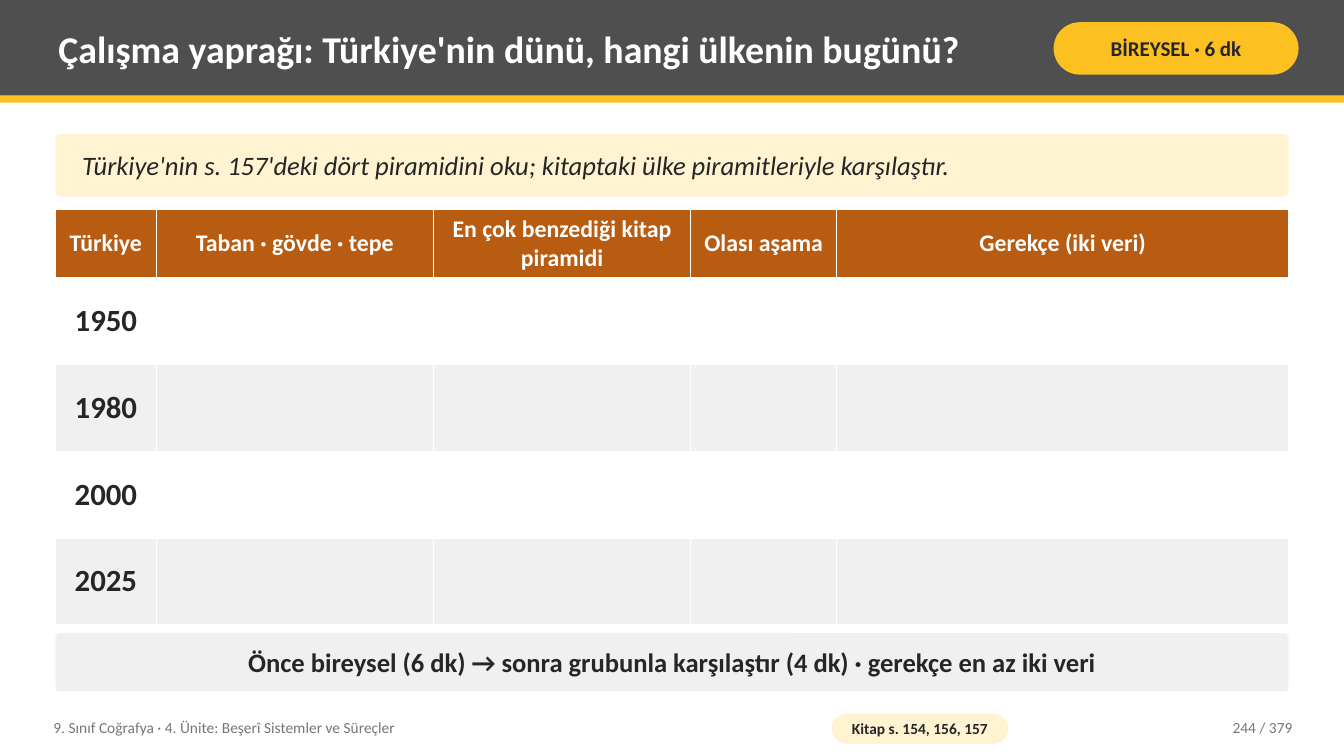
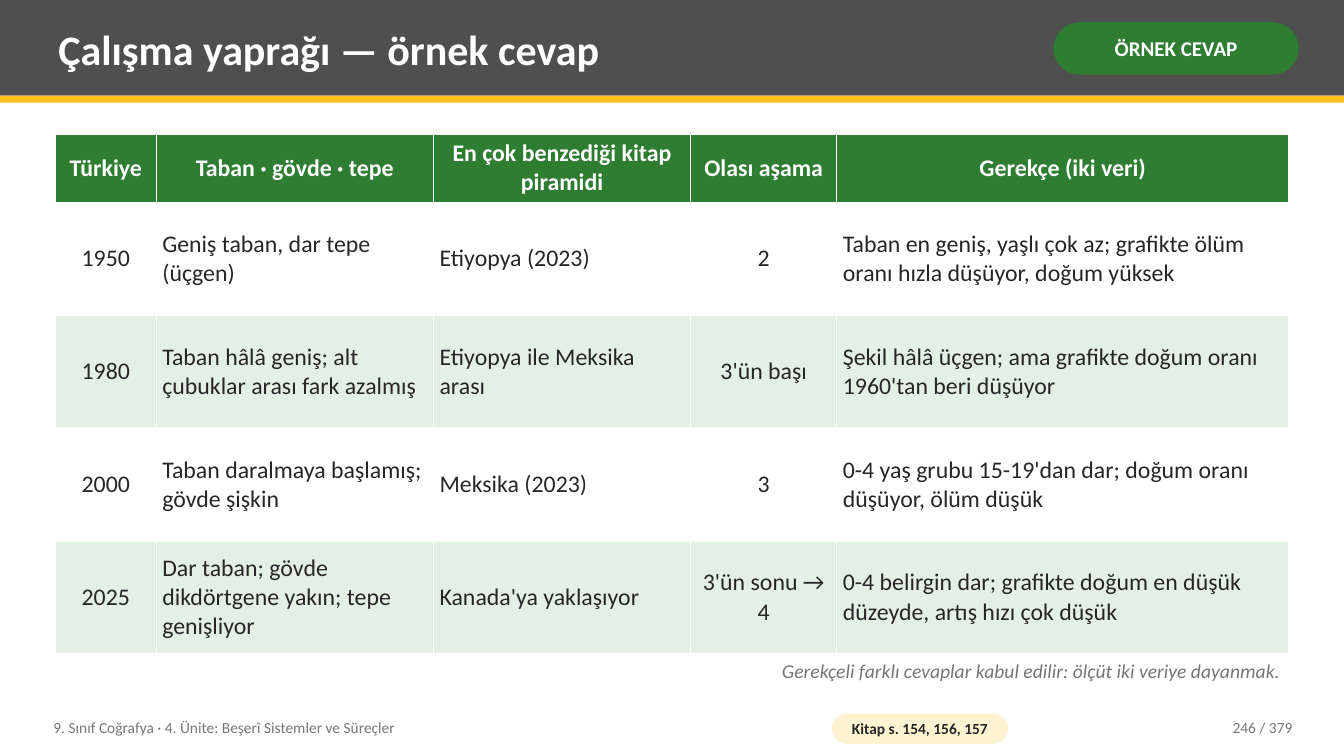
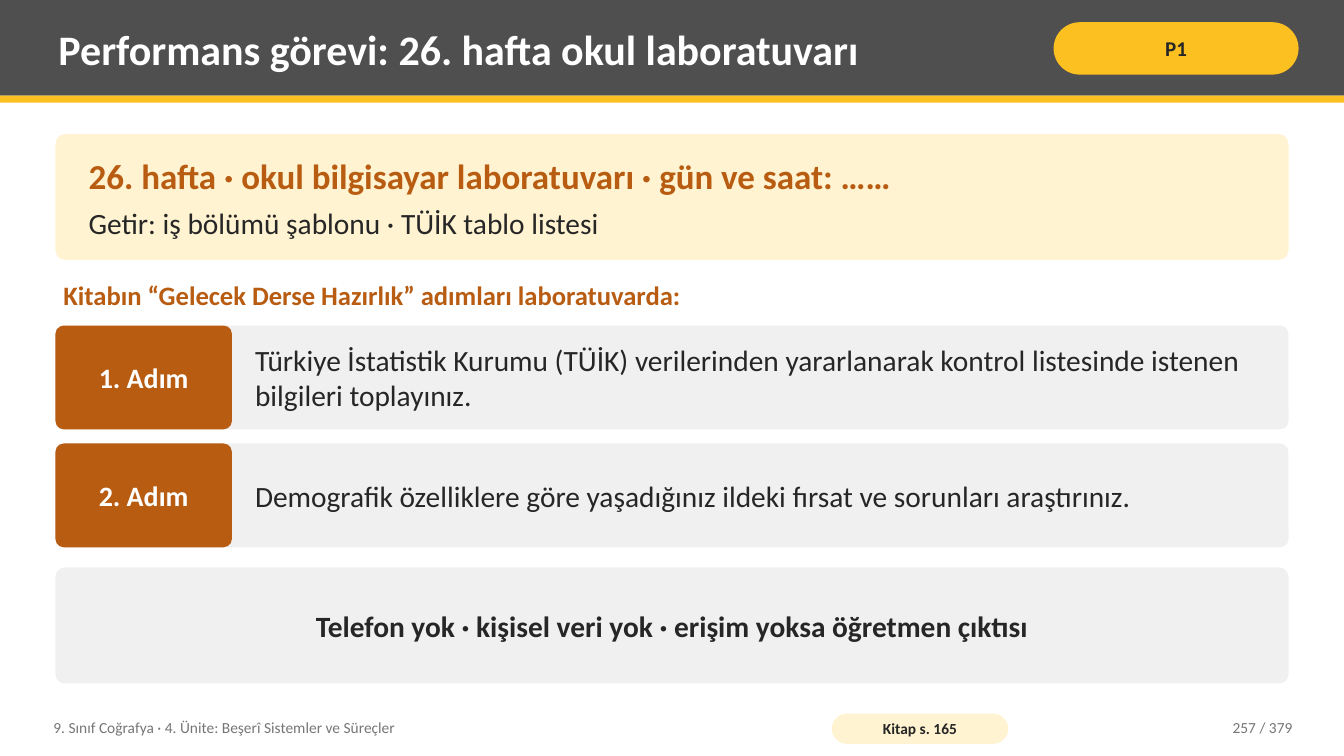
"""Builds three geography lesson slides: a worksheet, its sample answer and a task."""
from dataclasses import dataclass, replace

from lxml.etree import SubElement
from pptx import Presentation
from pptx.dml.color import RGBColor
from pptx.enum.shapes import MSO_SHAPE
from pptx.enum.text import MSO_ANCHOR, MSO_AUTO_SIZE, PP_ALIGN
from pptx.oxml.ns import qn
from pptx.util import Inches, Pt

WHITE = RGBColor(0xFF, 0xFF, 0xFF)
INK = RGBColor(0x26, 0x26, 0x26)
SLATE = RGBColor(0x4F, 0x4F, 0x4F)
MUTED = RGBColor(0x76, 0x76, 0x76)
MIST = RGBColor(0xF0, 0xF0, 0xF0)
YELLOW = RGBColor(0xFC, 0xC0, 0x21)
CREAM = RGBColor(0xFF, 0xF3, 0xD1)
RUST = RGBColor(0xB8, 0x5C, 0x12)
GREEN = RGBColor(0x2E, 0x7D, 0x32)
PALE_GREEN = RGBColor(0xE3, 0xF1, 0xE4)

FONT = "Calibri"
CELL = Inches(0.1)
COLUMNS, ROWS = 133.3, 75
MARGIN = 5.5
CONTENT = COLUMNS - 2 * MARGIN
CONTENT_TOP = 13.3
TABLE_COLUMNS = [10, 27.5, 25.5, 14.5, 44.8]
TABLE_HEADINGS = [
    "Türkiye", "Taban · gövde · tepe", "En çok benzediği kitap piramidi",
    "Olası aşama", "Gerekçe (iki veri)",
]
CENTERED_COLUMNS = (0, 3)
UNIT_NAME = "9. Sınıf Coğrafya · 4. Ünite: Beşerî Sistemler ve Süreçler"
PAGE_COUNT = 379


def grid(*cells):
    """Turn grid columns and rows into slide lengths."""
    return [round(cell * CELL) for cell in cells]


@dataclass(frozen=True)
class Style:
    """Look of one paragraph."""
    size: float
    color: RGBColor = INK
    bold: bool = False
    italic: bool = False
    align: PP_ALIGN = PP_ALIGN.LEFT
    after: float = 0

    def centered(self):
        """Give the same look, centred."""
        return replace(self, align=PP_ALIGN.CENTER)


class Lesson:
    """Holds the deck, its shared style and the current slide."""

    def __init__(self):
        """Start an empty deck with the slide size of the grid."""
        self.deck = Presentation()
        self.deck.slide_width, self.deck.slide_height = grid(COLUMNS, ROWS)
        self.page = None

    def set_lines(self, frame, lines, insets=(0.8, 0.4), anchor=MSO_ANCHOR.MIDDLE):
        """Fill a text frame with (text, style) lines."""
        frame.word_wrap = True
        frame.auto_size = MSO_AUTO_SIZE.NONE
        frame.vertical_anchor = anchor
        side, edge = grid(*insets)
        frame.margin_left = frame.margin_right = side
        frame.margin_top = frame.margin_bottom = edge
        frame.text = "\n".join(text for text, style in lines)
        for para, (text, style) in zip(frame.paragraphs, lines):
            self.apply_style(para, style)

    def apply_style(self, para, style):
        """Apply a style to a paragraph and its spans."""
        para.alignment = style.align
        if style.after:
            para.space_after = Pt(style.after)
        for span in para.runs:
            span.font.name = FONT
            span.font.size = Pt(style.size)
            span.font.bold = style.bold
            span.font.italic = style.italic
            span.font.color.rgb = style.color

    def panel(self, area, color, *lines, rounding=0.08, insets=(1.4, 0.8)):
        """Draw a filled box, rounded unless rounding is zero."""
        kind = MSO_SHAPE.ROUNDED_RECTANGLE if rounding else MSO_SHAPE.RECTANGLE
        box = self.page.shapes.add_shape(kind, *grid(*area))
        if rounding:
            box.adjustments[0] = rounding
        box.shadow.inherit = False
        box.fill.solid()
        box.fill.fore_color.rgb = color
        box.line.fill.background()
        if lines:
            self.set_lines(box.text_frame, lines, insets)

    def label(self, area, text, style, anchor=MSO_ANCHOR.MIDDLE):
        """Place plain text without a box."""
        box = self.page.shapes.add_textbox(*grid(*area))
        self.set_lines(box.text_frame, [(text, style)], anchor=anchor)

    def start(self, title, badge, source, number, size=30, badge_fill=YELLOW, badge_ink=INK):
        """Add a slide with its header band, title, badge and footer."""
        self.page = self.deck.slides.add_slide(self.deck.slide_layouts[5])
        self.panel((0, 0, COLUMNS, 9.5), SLATE, rounding=0)
        self.panel((0, 9.5, COLUMNS, 0.7), YELLOW, rounding=0)
        heading = self.page.shapes.title
        heading.element.getparent().append(heading.element)
        heading.left, heading.top, heading.width, heading.height = grid(5, 0.7, 97.5, 8.2)
        self.set_lines(heading.text_frame, [(title, Style(size, WHITE, bold=True))])
        badge_style = Style(15, badge_ink, bold=True).centered()
        self.panel((104.5, 2.2, 24.3, 5.2), badge_fill, (badge, badge_style),
                   rounding=0.5, insets=(0.5, 0.2))
        small = Style(11, MUTED)
        self.label((4.5, 70.4, 76, 3.6), UNIT_NAME, small)
        self.panel((82.5, 70.8, 17.5, 3), CREAM, (source, Style(11, bold=True).centered()),
                   rounding=0.5, insets=(0.4, 0))
        self.label((113, 70.4, 16, 3.6), f"{number} / {PAGE_COUNT}",
                   replace(small, align=PP_ALIGN.RIGHT))

    def table(self, top, row_height, rows, style, head_fill, band_fill):
        """Draw the worksheet table under its shared headings."""
        heights = [6.2] + [row_height] * len(rows)
        area = grid(MARGIN, top, CONTENT, sum(heights))
        table = self.page.shapes.add_table(len(heights), len(TABLE_COLUMNS), *area).table
        for column, width in zip(table.columns, grid(*TABLE_COLUMNS)):
            column.width = width
        for row, height in zip(table.rows, grid(*heights)):
            row.height = height
        head_style = Style(17, WHITE, bold=True)
        for row_index, texts in enumerate([TABLE_HEADINGS] + rows):
            row_style = style if row_index else head_style
            fill = (band_fill, WHITE)[row_index % 2] if row_index else head_fill
            for column_index, text in enumerate(texts):
                is_centered = not row_index or column_index in CENTERED_COLUMNS
                cell_style = row_style.centered() if is_centered else row_style
                self.cell(table.cell(row_index, column_index), text, cell_style, fill)

    def cell(self, cell, text, style, fill):
        """Fill one table cell and give it thin white borders."""
        cell.margin_left, cell.margin_top, cell.margin_right, cell.margin_bottom = grid(
            0.6, 0.5, 0.6, 0.5)
        cell.vertical_anchor = MSO_ANCHOR.MIDDLE
        cell.text = text
        self.apply_style(cell.text_frame.paragraphs[0], style)
        properties = cell._tc.get_or_add_tcPr()
        for side in ("a:lnL", "a:lnR", "a:lnT", "a:lnB"):
            border = SubElement(properties, qn(side), w=str(Pt(0.96)))
            SubElement(SubElement(border, qn("a:solidFill")), qn("a:srgbClr"), val=str(WHITE))
        cell.fill.solid()
        cell.fill.fore_color.rgb = fill

    def step(self, top, name, text):
        """Draw one numbered step with its tab."""
        height, tab = 10.3, 17.5
        self.panel((MARGIN, top, CONTENT, height), MIST)
        self.panel((MARGIN, top, tab, height), RUST,
                   (name, Style(20, WHITE, bold=True).centered()), insets=(0.6, 0.8))
        self.label((MARGIN + tab + 1.5, top, CONTENT - tab - 2.5, height), text, Style(21))


def worksheet(lesson):
    """Build the empty worksheet."""
    lesson.start("Çalışma yaprağı: Türkiye'nin dünü, hangi ülkenin bugünü?",
                 "BİREYSEL · 6 dk", "Kitap s. 154, 156, 157", 244, size=27)
    task = "Türkiye'nin s. 157'deki dört piramidini oku; kitaptaki ülke piramitleriyle karşılaştır."
    lesson.panel((MARGIN, CONTENT_TOP, CONTENT, 6.2), CREAM,
                 (task, Style(19, italic=True)), insets=(2.5, 0.8))
    rows = [[year, "", "", "", ""] for year in ("1950", "1980", "2000", "2025")]
    lesson.table(20.8, 8.6, rows, Style(22, bold=True), RUST, MIST)
    rule = "Önce bireysel (6 dk) → sonra grubunla karşılaştır (4 dk) · gerekçe en az iki veri"
    lesson.panel((MARGIN, 62.8, CONTENT, 5.8), MIST,
                 (rule, Style(19, bold=True).centered()), insets=(1.4, 0.2))


def sample_answer(lesson):
    """Build the worksheet with its sample answer."""
    lesson.start("Çalışma yaprağı — örnek cevap", "ÖRNEK CEVAP",
                 "Kitap s. 154, 156, 157", 246, badge_fill=GREEN, badge_ink=WHITE)
    rows = [
        ["1950", "Geniş taban, dar tepe (üçgen)", "Etiyopya (2023)", "2",
         "Taban en geniş, yaşlı çok az; grafikte ölüm oranı hızla düşüyor, doğum yüksek"],
        ["1980", "Taban hâlâ geniş; alt çubuklar arası fark azalmış",
         "Etiyopya ile Meksika arası", "3'ün başı",
         "Şekil hâlâ üçgen; ama grafikte doğum oranı 1960'tan beri düşüyor"],
        ["2000", "Taban daralmaya başlamış; gövde şişkin", "Meksika (2023)", "3",
         "0-4 yaş grubu 15-19'dan dar; doğum oranı düşüyor, ölüm düşük"],
        ["2025", "Dar taban; gövde dikdörtgene yakın; tepe genişliyor",
         "Kanada'ya yaklaşıyor", "3'ün sonu → 4",
         "0-4 belirgin dar; grafikte doğum en düşük düzeyde, artış hızı çok düşük"],
    ]
    lesson.table(CONTENT_TOP, 11.2, rows, Style(17), GREEN, PALE_GREEN)
    lesson.label((MARGIN, 65, CONTENT, 3.6),
                 "Gerekçeli farklı cevaplar kabul edilir: ölçüt iki veriye dayanmak.",
                 Style(14, MUTED, italic=True, align=PP_ALIGN.RIGHT), MSO_ANCHOR.TOP)


def laboratory_task(lesson):
    """Build the performance task."""
    lesson.start("Performans görevi: 26. hafta okul laboratuvarı", "P1", "Kitap s. 165", 257)
    lesson.panel((MARGIN, CONTENT_TOP, CONTENT, 12.5), CREAM,
                 ("26. hafta · okul bilgisayar laboratuvarı · gün ve saat: ……",
                  Style(25, RUST, bold=True, after=6)),
                 ("Getir: iş bölümü şablonu · TÜİK tablo listesi", Style(21)),
                 insets=(3, 0.8))
    lesson.label((MARGIN, 27.3, CONTENT, 4.2),
                 "Kitabın “Gelecek Derse Hazırlık” adımları laboratuvarda:",
                 Style(19, RUST, bold=True), MSO_ANCHOR.TOP)
    steps = [
        "Türkiye İstatistik Kurumu (TÜİK) verilerinden yararlanarak kontrol listesinde "
        "istenen bilgileri toplayınız.",
        "Demografik özelliklere göre yaşadığınız ildeki fırsat ve sorunları araştırınız.",
    ]
    for index, text in enumerate(steps):
        lesson.step(32.3 + index * 11.7, f"{index + 1}. Adım", text)
    lesson.panel((MARGIN, 56.3, CONTENT, 11.5), MIST,
                 ("Telefon yok · kişisel veri yok · erişim yoksa öğretmen çıktısı",
                  Style(21, bold=True).centered()))


def main():
    """Build and save the deck."""
    lesson = Lesson()
    worksheet(lesson)
    sample_answer(lesson)
    laboratory_task(lesson)
    lesson.deck.save("out.pptx")


if __name__ == "__main__":
    main()
